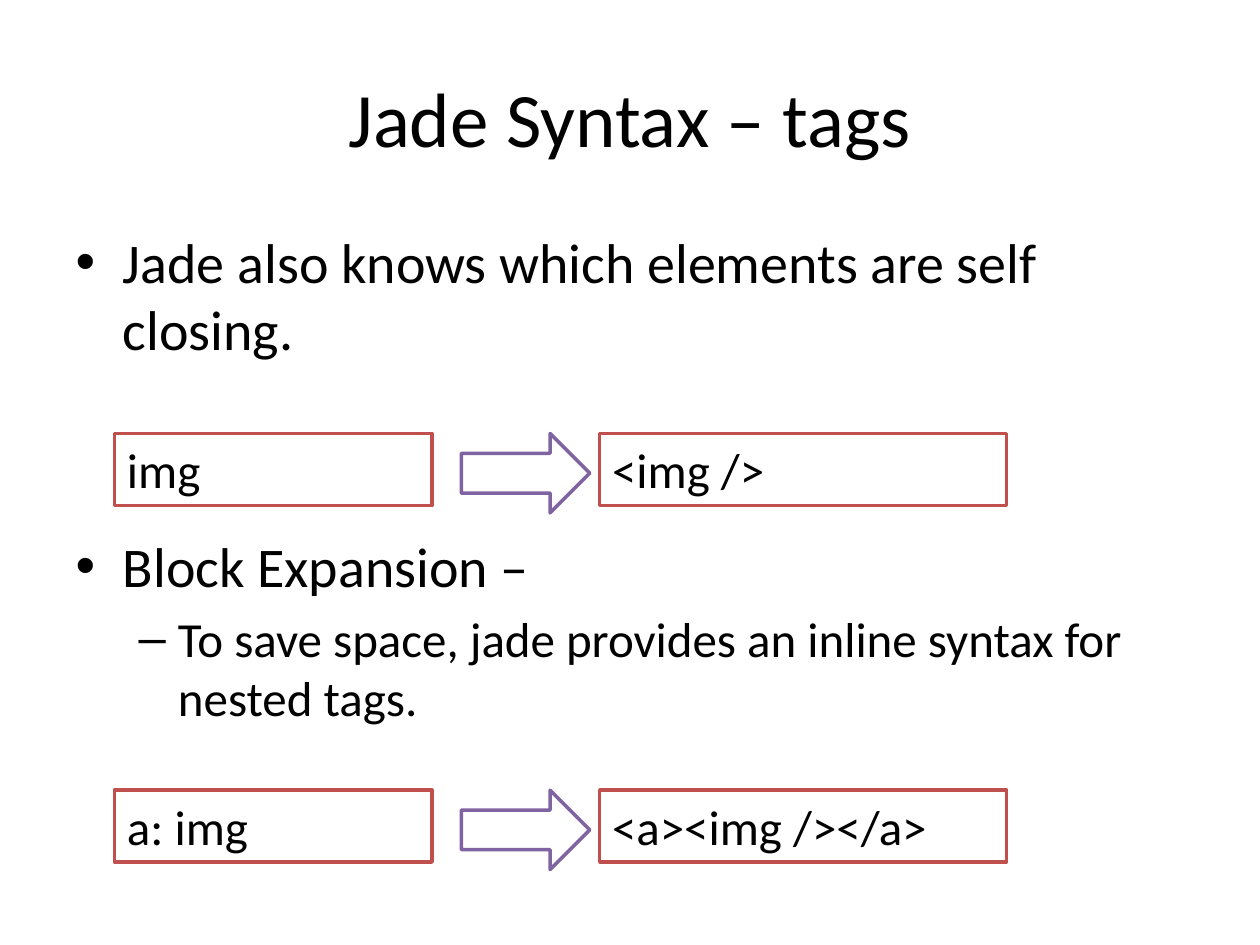
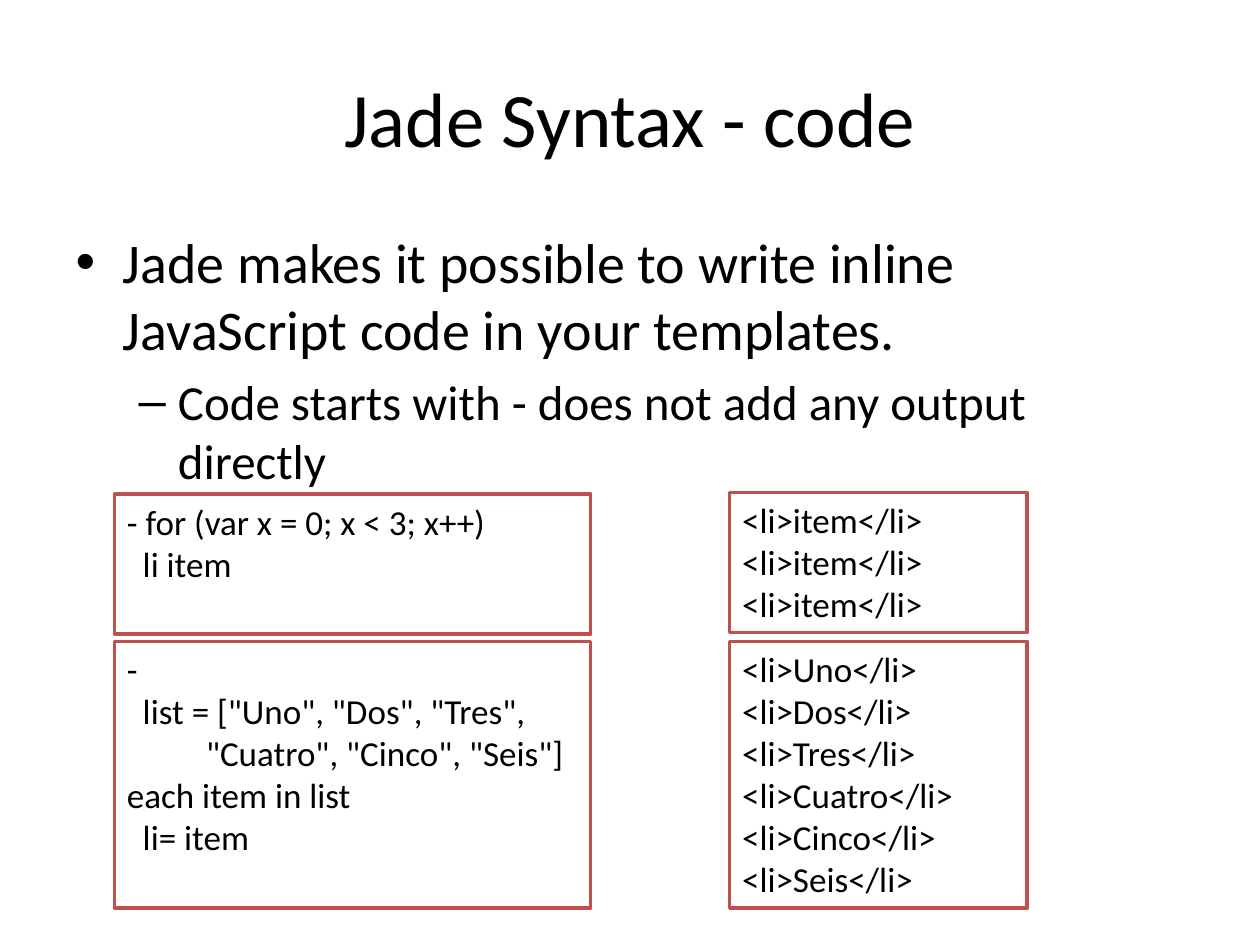
from pptx import Presentation
from pptx.dml.color import RGBColor
from pptx.enum.shapes import MSO_SHAPE
from pptx.enum.text import MSO_ANCHOR, PP_ALIGN
from pptx.util import Cm, Pt

RECTANGLE, RIGHT_ARROW = MSO_SHAPE.RECTANGLE, MSO_SHAPE.RIGHT_ARROW
LEFT, TOP = PP_ALIGN.LEFT, MSO_ANCHOR.TOP

# Shared style
FONT = "Calibri"
BLACK, WHITE, RED, PURPLE = "000000", "FFFFFF", "C0504D", "8064A2"
TITLE_SIZE = 44
LEVEL_SIZES = (32, 28)
OUTLINE = 2

# Shared layout, in centimetres: left, top, width, height
TITLE_AREA = (1.27, 0.76, 22.86, 3.18)
BODY_AREA = (1.27, 4.45, 22.86, 12.57)
SOURCE_LEFT = 2.31


def color(hex_text):
    return RGBColor.from_string(hex_text)


def place(placeholder, area):
    placeholder.left, placeholder.top, placeholder.width, placeholder.height = map(Cm, area)


def style(paragraph, size):
    for run in paragraph.runs:
        run.font.name = FONT
        run.font.size = Pt(size)
        run.font.color.rgb = color(BLACK)


def add_topic(deck, title, points):
    """Add a slide; each point is (level, text, space before or None)."""
    slide = deck.slides.add_slide(deck.slide_layouts[1])
    heading, body = slide.placeholders
    place(heading, TITLE_AREA)
    heading.text_frame.text = title
    style(heading.text_frame.paragraphs[0], TITLE_SIZE)

    place(body, BODY_AREA)
    body.text_frame.text = "\n".join(text for _, text, _ in points)
    for paragraph, (level, _, gap) in zip(body.text_frame.paragraphs, points):
        paragraph.level = level
        if gap is not None:
            paragraph.space_before = Pt(gap)
        style(paragraph, LEVEL_SIZES[level])
    return slide


def add_outlined(slide, preset, area, line_color):
    shape = slide.shapes.add_shape(preset, *map(Cm, area))
    shape.shadow.inherit = False
    shape.fill.solid()
    shape.fill.fore_color.rgb = color(WHITE)
    shape.line.color.rgb = color(line_color)
    shape.line.width = Pt(OUTLINE)
    return shape


def add_code(slide, area, code, size):
    frame = add_outlined(slide, RECTANGLE, area, RED).text_frame
    frame.word_wrap = True
    frame.vertical_anchor = TOP
    frame.text = code
    for paragraph in frame.paragraphs:
        paragraph.alignment = LEFT
        style(paragraph, size)


def add_translation(slide, top, jade, html):
    """One row: Jade source, arrow, resulting HTML."""
    add_code(slide, (SOURCE_LEFT, top, 6.4, 1.45), jade, 28)
    add_code(slide, (12.09, top, 8.2, 1.45), html, 28)
    add_outlined(slide, RIGHT_ARROW, (9.3, top, 2.59, 1.6), PURPLE)


def add_listing(slide, jade_top, html_top, height, jade, items):
    """One row: Jade source and the list items it produces."""
    add_code(slide, (SOURCE_LEFT, jade_top, 9.6, height), jade, 20)
    html = "\n".join(f"<li>{item}</li>" for item in items)
    add_code(slide, (14.71, html_top, 6, height), html, 20)


def main():
    deck = Presentation()
    deck.slide_width, deck.slide_height = Cm(25.4), Cm(19.05)

    # Tags: the wide gap leaves room for the first translation row
    tags = add_topic(deck, "Jade Syntax – tags", [
        (0, "Jade also knows which elements are self closing.", 0),
        (0, "Block Expansion –", 97),
        (1, "To save space, jade provides an inline syntax for nested tags.", None),
    ])
    add_translation(tags, 8.74, "img", "<img />")
    add_translation(tags, 15.93, "a: img", "<a><img /></a>")

    # Code
    code = add_topic(deck, "Jade Syntax - code", [
        (0, "Jade makes it possible to write inline JavaScript code in your templates.", 0),
        (1, "Code starts with - does not add any output directly", None),
    ])
    loop = "- for (var x = 0; x < 3; x++)\n  li item"
    add_listing(code, 9.96, 9.93, 2.82, loop, ["item"] * 3)
    each = """-
  list = ["Uno", "Dos", "Tres",
          "Cuatro", "Cinco", "Seis"]
each item in list
  li= item"""
    add_listing(code, 12.93, 12.93, 5.38, each,
                ["Uno", "Dos", "Tres", "Cuatro", "Cinco", "Seis"])

    deck.save("out.pptx")


if __name__ == "__main__":
    main()
